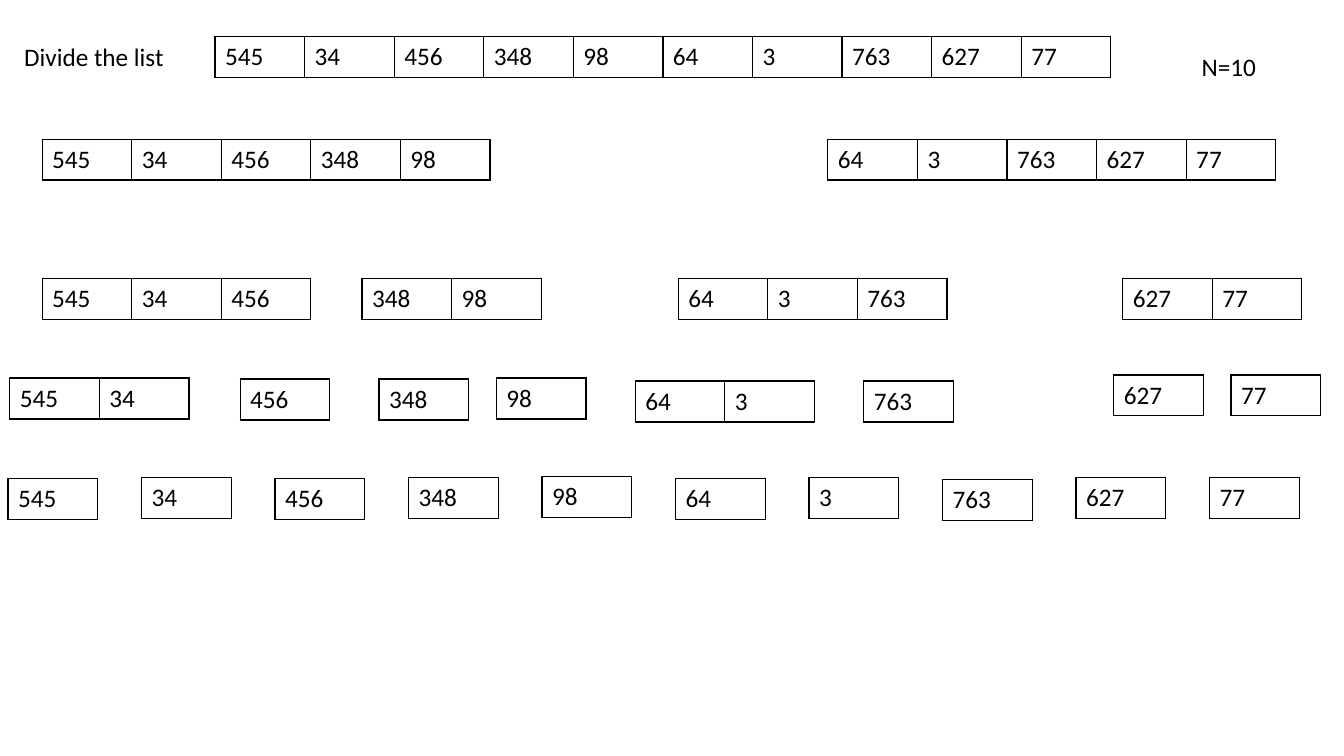
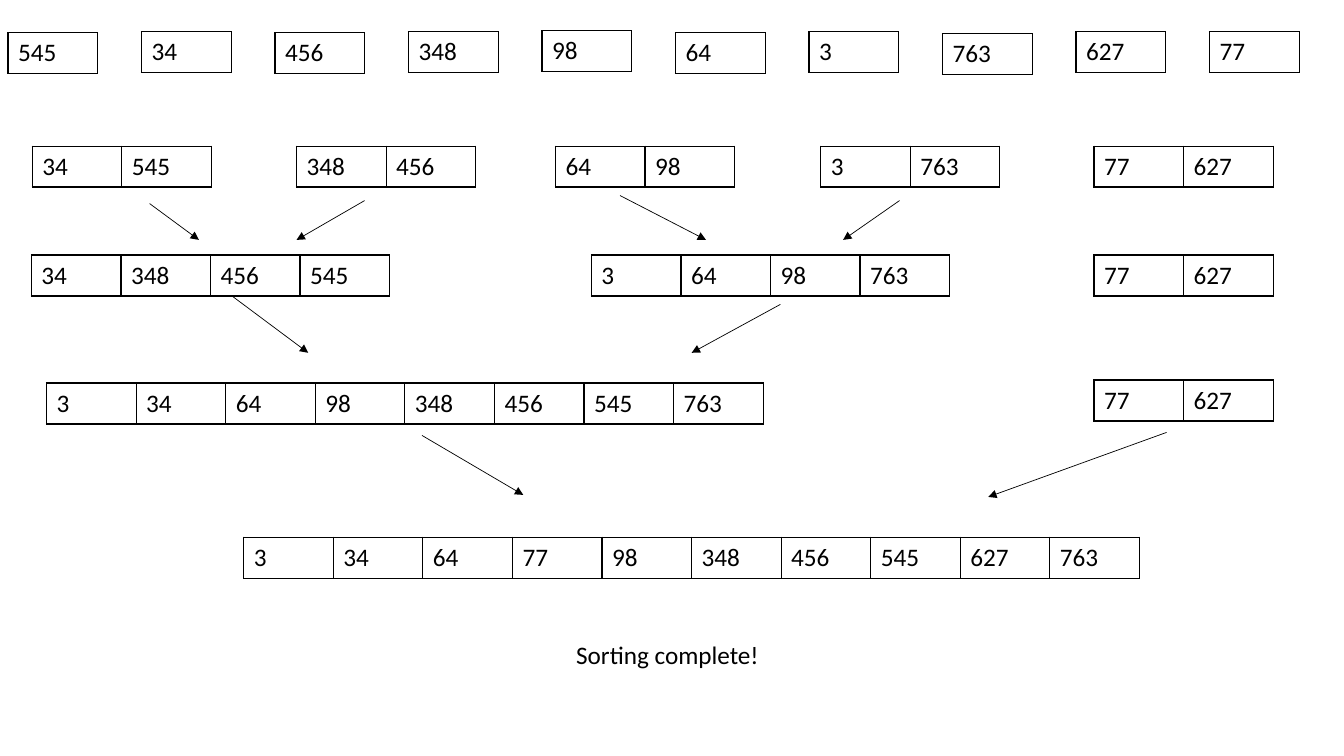
from lxml import etree
from pptx import Presentation
from pptx.dml.color import RGBColor
from pptx.enum.shapes import MSO_CONNECTOR
from pptx.enum.text import MSO_AUTO_SIZE
from pptx.oxml.ns import qn
from pptx.util import Inches, Pt

BLACK = RGBColor(0x00, 0x00, 0x00)
FONT = "Calibri"
STRAIGHT = MSO_CONNECTOR.STRAIGHT
FIT_SHAPE = MSO_AUTO_SIZE.SHAPE_TO_FIT_TEXT
BLANK_LAYOUT = 6

# Grid: one column is the width of one list cell
SLIDE_WIDTH, SLIDE_HEIGHT = Inches(13.333), Inches(7.5)
COLUMN = SLIDE_WIDTH / 15
ROW = SLIDE_HEIGHT / 75
CELL_ROWS = 4.06

UNSORTED = (545, 34, 456, 348, 98, 64, 3, 763, 627, 77)
SINGLE_LEFT, SINGLE_STEP = 0.09, 1.49
SINGLE_OFFSETS = (0.1, 0, 0.1, 0, -0.1, 0.1, 0, 0.2, 0, 0)


def across(columns):
    return round(columns * COLUMN)


def down(rows):
    return round(rows * ROW)


def write_text(frame, text, size=18, color=BLACK, font=FONT, bold=False):
    run = frame.paragraphs[0].add_run()
    run.text = text
    run.font.size = Pt(size)
    run.font.name = font
    run.font.bold = bold
    run.font.color.rgb = color


class SortingDeck:
    """Holds the presentation, its line style and the current slide."""

    border_width = Pt(1)
    arrow_width = Pt(0.5)
    line_color = BLACK

    def __init__(self):
        self.presentation = Presentation()
        self.presentation.slide_width = SLIDE_WIDTH
        self.presentation.slide_height = SLIDE_HEIGHT
        self.slide = None

    def new_slide(self):
        layout = self.presentation.slide_layouts[BLANK_LAYOUT]
        self.slide = self.presentation.slides.add_slide(layout)

    def label(self, text, left, top, width):
        box = self.slide.shapes.add_textbox(
            across(left), down(top), across(width), down(4))
        box.text_frame.word_wrap = True
        box.text_frame.auto_size = FIT_SHAPE
        write_text(box.text_frame, text)

    def border(self, cell):
        properties = cell._tc.get_or_add_tcPr()
        for side in ("a:lnL", "a:lnR", "a:lnT", "a:lnB"):
            line = etree.SubElement(properties, qn(side), w=str(self.border_width))
            fill = etree.SubElement(line, qn("a:solidFill"))
            etree.SubElement(fill, qn("a:srgbClr"), val=str(self.line_color))

    def number_list(self, numbers, left, top):
        frame = self.slide.shapes.add_table(
            1, len(numbers), across(left), down(top),
            across(len(numbers)), down(CELL_ROWS))
        table = frame.table
        table.first_row = table.horz_banding = False
        for index, number in enumerate(numbers):
            table.columns[index].width = across(1)
            cell = table.cell(0, index)
            self.border(cell)
            cell.fill.background()
            write_text(cell.text_frame, str(number))

    def number_lists(self, top, *lists):
        for left, numbers in lists:
            self.number_list(numbers, left, top)

    def single_numbers(self, top):
        for index, (number, offset) in enumerate(zip(UNSORTED, SINGLE_OFFSETS)):
            self.number_list([number], SINGLE_LEFT + index * SINGLE_STEP, top + offset)

    def arrow(self, start_x, start_y, end_x, end_y):
        connector = self.slide.shapes.add_connector(
            STRAIGHT, across(start_x), down(start_y), across(end_x), down(end_y))
        connector.line.color.rgb = self.line_color
        connector.line.width = self.arrow_width
        etree.SubElement(connector.line._get_or_add_ln(), qn("a:tailEnd"), type="triangle")
        etree.SubElement(connector._element.spPr, qn("a:effectLst"))


def build_divide_slide(deck):
    deck.new_slide()
    deck.label("Divide the list", 0.16, 3.6, 1.86)
    deck.label("N=10", 13.3, 4.6, 1.17)

    # Whole list, halves and quarters
    deck.number_lists(3.6, (2.4, UNSORTED))
    deck.number_lists(13.8, (0.47, UNSORTED[:5]), (9.24, UNSORTED[5:]))
    deck.number_lists(27.6, (0.47, UNSORTED[:3]), (4.04, UNSORTED[3:5]),
                      (7.57, UNSORTED[5:8]), (12.53, UNSORTED[8:]))

    # Pairs and first single numbers
    deck.number_lists(37.5, (0.11, UNSORTED[:2]), (5.54, UNSORTED[4:5]))
    deck.number_lists(37.6, (2.68, UNSORTED[2:3]), (4.23, UNSORTED[3:4]))
    deck.number_lists(37.8, (7.09, UNSORTED[5:7]), (9.64, UNSORTED[7:8]))
    deck.number_lists(37.2, (12.43, UNSORTED[8:9]), (13.74, UNSORTED[9:]))

    deck.single_numbers(47.4)


def build_merge_slide(deck):
    deck.new_slide()
    deck.single_numbers(3.15)

    # Sorted lists, merged step by step
    last_pair = (12.21, (77, 627))
    deck.number_lists(14.5, (0.36, (34, 545)), (3.31, (348, 456)),
                      (6.2, (64, 98)), (9.16, (3, 763)), last_pair)
    deck.number_lists(25.3, (0.35, (34, 348, 456, 545)),
                      (6.6, (3, 64, 98, 763)), last_pair)
    deck.number_lists(38, (0.52, (3, 34, 64, 98, 348, 456, 545, 763)))
    deck.number_lists(37.7, last_pair)
    deck.number_lists(53.3, (2.72, sorted(UNSORTED)))

    # Arrows from each list to its merged list
    for ends in (
        (1.67, 20.2, 2.22, 23.8), (4.07, 19.9, 3.31, 23.8),
        (6.92, 19.4, 7.88, 23.8), (10.04, 19.9, 9.41, 23.8),
        (2.58, 29.3, 3.44, 35), (8.71, 30.2, 7.72, 35),
        (4.71, 43.2, 5.84, 49.1), (13.02, 42.9, 11.03, 49.3),
    ):
        deck.arrow(*ends)

    deck.label("Sorting complete!", 6.32, 62.9, 8.46)


def main():
    deck = SortingDeck()
    build_divide_slide(deck)
    build_merge_slide(deck)
    deck.presentation.save("out.pptx")


if __name__ == "__main__":
    main()
